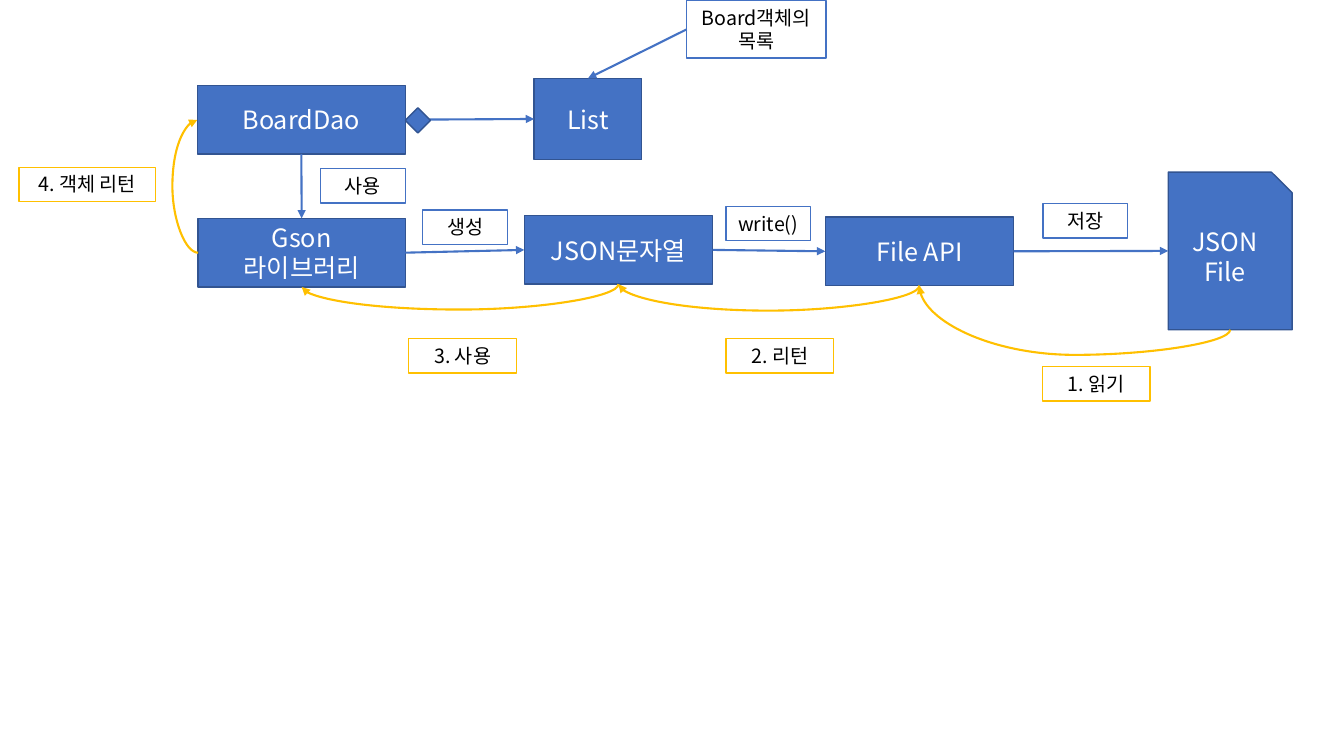
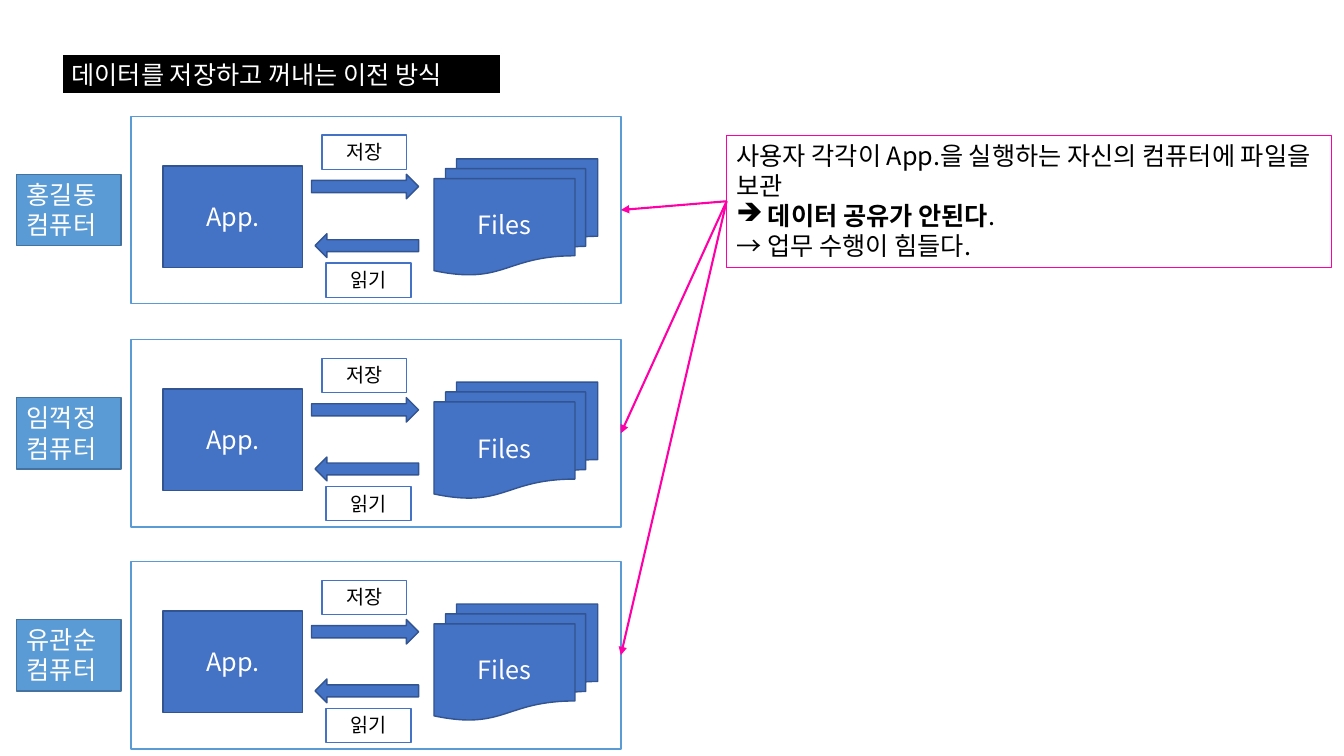
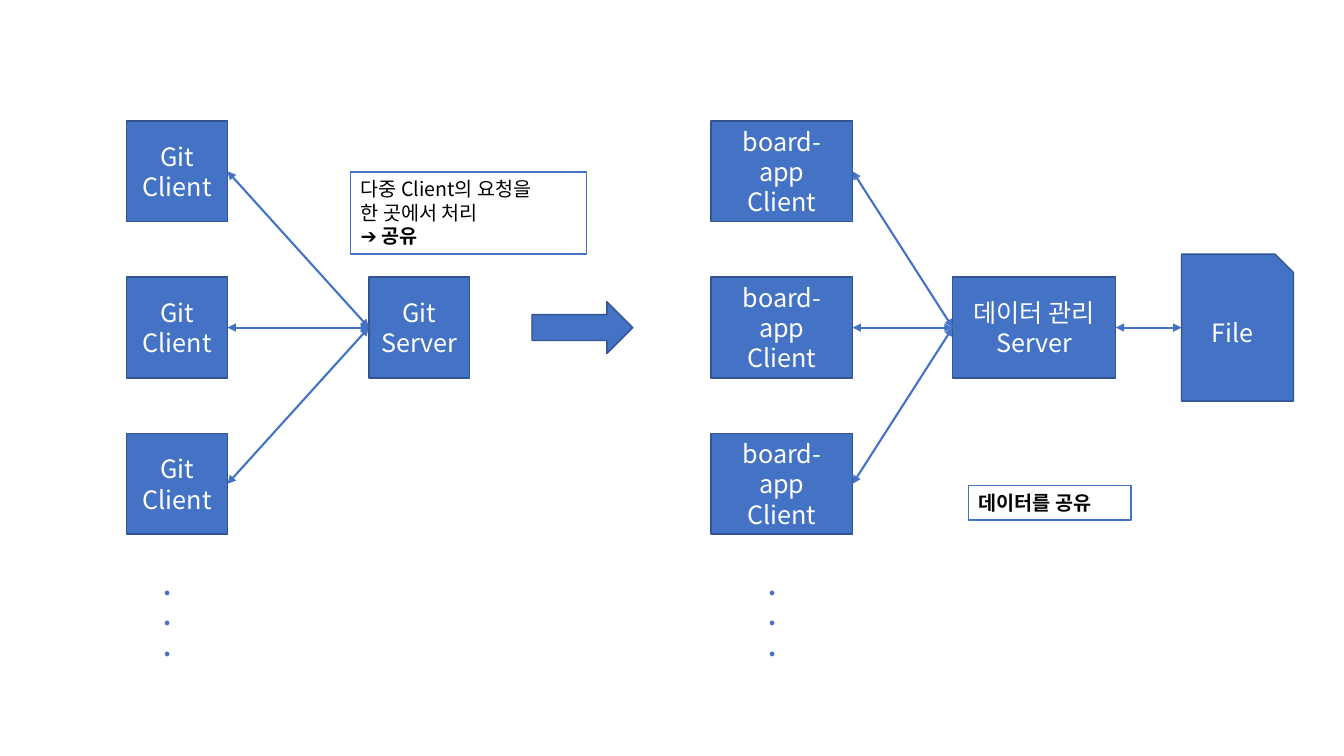
from lxml import etree
from pptx import Presentation
from pptx.dml.color import RGBColor
from pptx.enum.shapes import MSO_CONNECTOR, MSO_SHAPE
from pptx.enum.text import MSO_ANCHOR, MSO_AUTO_SIZE, PP_ALIGN
from pptx.oxml.ns import qn
from pptx.util import Pt

FONT = "Noto Sans CJK KR"
BLUE, NAVY = "4472C4", "325491"
SKY, STEEL = "5B9BD5", "43739E"
YELLOW, PINK = "FFC000", "FF00A8"
WHITE, BLACK = "FFFFFF", "000000"
RECT, SNIP, DIAMOND = MSO_SHAPE.RECTANGLE, MSO_SHAPE.SNIP_1_RECTANGLE, MSO_SHAPE.DIAMOND
FILES = MSO_SHAPE.FLOWCHART_MULTIDOCUMENT
RIGHT_ARROW, LEFT_ARROW = MSO_SHAPE.RIGHT_ARROW, MSO_SHAPE.LEFT_ARROW
STRAIGHT, CURVE = MSO_CONNECTOR.STRAIGHT, MSO_CONNECTOR.CURVE
CENTER, START = PP_ALIGN.CENTER, PP_ALIGN.LEFT
MIDDLE, TOP = MSO_ANCHOR.MIDDLE, MSO_ANCHOR.TOP
GROW = MSO_AUTO_SIZE.SHAPE_TO_FIT_TEXT
TOP_SIDE, LEFT_SIDE, BOTTOM_SIDE, RIGHT_SIDE = range(4)
TAG_WIDTH, STEP_WIDTH, TAG_HEIGHT = 60.5, 77, 24.5
CURVE_DEPTH = 18


def rgb(hex_color):
    """Turn a hex string into a colour."""
    return RGBColor.from_string(hex_color)


def style_font(font, size, color, bold):
    """Set the shared typeface for Latin and Korean text."""
    font.size, font.bold, font.name = Pt(size), bold, FONT
    font.color.rgb = rgb(color)
    etree.SubElement(font._element, qn("a:ea")).set("typeface", FONT)


def add_bullet(para, mark):
    """Give a paragraph a hanging bullet."""
    properties = para._p.get_or_add_pPr()
    properties.set("marL", str(Pt(22.5)))
    properties.set("indent", str(-Pt(22.5)))
    etree.SubElement(properties, qn("a:buChar")).set("char", mark)


def write(shape, lines, size, color, align, bold=False, bullets=None):
    """Write lines, each a string or a list of (text, bold) spans."""
    frame = shape.text_frame
    frame.word_wrap = True
    for index, line in enumerate(lines):
        para = frame.paragraphs[0] if index == 0 else frame.add_paragraph()
        para.alignment = align
        if bullets and index in bullets:
            add_bullet(para, bullets[index])
        style_font(para.font, size, color, bold)
        if isinstance(line, str):
            para.add_run().text = line
            continue
        for text, span_bold in line:
            span = para.add_run()
            span.text = text
            span.font.bold = span_bold


def add_block(page, box, lines=(), kind=RECT, fill=BLUE, outline=NAVY, weight=1):
    """Add a filled shape with centred white text."""
    shape = page.shapes.add_shape(kind, *map(Pt, box))
    shape.shadow.inherit = False
    shape.fill.solid()
    shape.fill.fore_color.rgb = rgb(fill)
    shape.line.color.rgb = rgb(outline)
    shape.line.width = Pt(weight)
    shape.text_frame.vertical_anchor = MIDDLE
    write(shape, lines, 18, WHITE, CENTER)
    return shape


def add_note(page, box, lines, fill=WHITE, outline=BLUE, weight=1, size=14,
             color=BLACK, align=START, bold=False, bullets=None):
    """Add a top-anchored box that fits its text."""
    shape = add_block(page, box, (), RECT, fill, outline, weight)
    shape.text_frame.vertical_anchor = TOP
    shape.text_frame.auto_size = GROW
    write(shape, lines, size, color, align, bold, bullets)
    return shape


def add_tag(page, left, top, text, width=TAG_WIDTH, outline=BLUE, height=TAG_HEIGHT):
    """Add a small centred label."""
    return add_note(page, (left, top, width, height), [text], outline=outline, align=CENTER)


def style_line(connector, color, both_ends=False):
    """Colour a connector, drop its shadow and add arrowheads."""
    connector.line.color.rgb = rgb(color)
    connector.line.width = Pt(1.5)
    line = connector.line._get_or_add_ln()
    for end in ("a:headEnd", "a:tailEnd") if both_ends else ("a:tailEnd",):
        etree.SubElement(line, qn(end)).set("type", "triangle")
    etree.SubElement(connector._element.spPr, qn("a:effectLst"))


def add_arrow(page, source, source_side, target, target_side, color=BLUE, both_ends=False):
    """Join two shapes with a straight arrow."""
    connector = page.shapes.add_connector(STRAIGHT, 0, 0, 0, 0)
    connector.begin_connect(source, source_side)
    connector.end_connect(target, target_side)
    style_line(connector, color, both_ends)


def add_return_curve(page, source, target, side):
    """Draw a curved arrow that bulges out of one side of two shapes."""
    def anchor(shape):
        """Find the middle of the chosen side."""
        if side == BOTTOM_SIDE:
            return shape.left + shape.width // 2, shape.top + shape.height
        return shape.left, shape.top + shape.height // 2

    (x1, y1), (x2, y2) = anchor(source), anchor(target)
    across, along = abs(x2 - x1), abs(y2 - y1)
    downward = side == BOTTOM_SIDE
    width, height = (along, across) if downward else (across, along)
    left, top = (x1 + x2 - width) // 2, (y1 + y2 - height) // 2
    connector = page.shapes.add_connector(CURVE, left, top, left + width, top + height)
    flipped = downward and y1 > y2
    properties = connector._element.spPr
    transform = properties.find(qn("a:xfrm"))
    transform.set("rot", str((90 if downward else 180) * 60000))
    if flipped:
        transform.set("flipH", "1")
    bend = round(Pt(CURVE_DEPTH) / width * 100000)
    guide = etree.SubElement(properties.find(qn("a:prstGeom")).find(qn("a:avLst")), qn("a:gd"))
    guide.set("name", "adj1")
    guide.set("fmla", f"val {-bend if flipped else bend}")
    style_line(connector, YELLOW)


def build_json_flow(page):
    """Build the slide on saving and loading objects as JSON."""
    dao = add_block(page, (141, 61, 148.5, 49), ["BoardDao"])
    json_text = add_block(page, (374.5, 154, 134.5, 49), ["JSON문자열"])
    gson = add_block(page, (141.5, 156, 148, 49), ["Gson", "라이브러리"])
    board_list = add_block(page, (381.5, 56, 77, 58), ["List"])
    file_api = add_block(page, (589.5, 155, 134.5, 49), ["File API"])
    json_file = add_block(page, (834.5, 123, 88.5, 112.5), ["JSON", "File"], SNIP)
    list_tag = add_tag(page, 490.5, 0.5, "Board객체의 목록", 99.5, height=41)

    for source, source_side, target, target_side in (
        (dao, RIGHT_SIDE, board_list, LEFT_SIDE),
        (dao, BOTTOM_SIDE, gson, TOP_SIDE),
        (gson, RIGHT_SIDE, json_text, LEFT_SIDE),
        (json_text, RIGHT_SIDE, file_api, LEFT_SIDE),
        (file_api, RIGHT_SIDE, json_file, LEFT_SIDE),
        (list_tag, LEFT_SIDE, board_list, TOP_SIDE),
    ):
        add_arrow(page, source, source_side, target, target_side)
    add_block(page, (289.5, 77, 18, 18), kind=DIAMOND)

    for left, top, text in ((229, 120.5, "사용"), (302, 150, "생성"),
                            (518.5, 147.5, "write()"), (745, 145.5, "저장")):
        add_tag(page, left, top, text)

    for source, target, side in ((json_file, file_api, BOTTOM_SIDE),
                                 (file_api, json_text, BOTTOM_SIDE),
                                 (json_text, gson, BOTTOM_SIDE),
                                 (gson, dao, LEFT_SIDE)):
        add_return_curve(page, source, target, side)
    for left, top, text, width in ((744.5, 262, "1. 읽기", STEP_WIDTH),
                                   (518.5, 242, "2. 리턴", STEP_WIDTH),
                                   (292, 242, "3. 사용", STEP_WIDTH),
                                   (13.5, 119.5, "4. 객체 리턴", 97.5)):
        add_tag(page, left, top, text, width, YELLOW)


def add_computer(page, left, top, owner):
    """Add one user's computer with its own app and files."""
    frame = add_block(page, (left, top, 350, 134), fill=WHITE, outline=SKY)
    add_note(page, (left - 81.5, top + 41.5, 74.5, 51), [owner, "컴퓨터"],
             SKY, STEEL, size=18, color=WHITE)
    add_block(page, (left + 23, top + 35.5, 99.5, 72.5), ["App."])
    add_block(page, (left + 216.5, top + 30.5, 117, 83), ["Files"], FILES)
    add_block(page, (left + 129, top + 41.5, 76.5, 17.5), kind=RIGHT_ARROW)
    add_block(page, (left + 131.5, top + 84, 74, 17), kind=LEFT_ARROW)
    add_tag(page, left + 136.5, top + 13.5, "저장")
    add_tag(page, left + 139.5, top + 105, "읽기")
    return frame


def build_local_files(page):
    """Build the slide on keeping files on each computer."""
    add_note(page, (44, 38.5, 314, 29), ["데이터를 저장하고 꺼내는 이전 방식"],
             BLACK, WHITE, 1.5, 18, WHITE)
    computers = [add_computer(page, 93.5, top, owner) for top, owner in
                 ((83, "홍길동"), (242.5, "임꺽정"), (401, "유관순"))]
    problem = add_note(
        page, (519, 96.5, 432, 94.5),
        ["사용자 각각이 App.을 실행하는 자신의 컴퓨터에 파일을 보관",
         [("데이터 공유가 안된다", True), (".", False)],
         "→ 업무 수행이 힘들다."],
        outline=PINK, weight=0.75, size=18, bullets={1: "➔"})
    for computer in computers:
        add_arrow(page, problem, LEFT_SIDE, computer, RIGHT_SIDE, PINK)


def add_client_group(page, left, top, width, client, server, server_left, server_width):
    """Add a column of clients joined to one server, and return the server."""
    size, pitch, dots_width = 72, 111.6, 33
    clients = [add_block(page, (left, top + row * pitch, width, size), client)
               for row in range(3)]
    hub = add_block(page, (server_left, top + pitch, server_width, size), server)
    for block in clients:
        add_arrow(page, block, RIGHT_SIDE, hub, LEFT_SIDE, both_ends=True)
    dots_left = left + (width - dots_width) / 2
    dots = page.shapes.add_textbox(*map(Pt, (dots_left, top + 317.5, dots_width, 72.5)))
    write(dots, [".", ".", "."], 18, BLUE, START, True)
    return hub


def build_shared_server(page):
    """Build the slide on sharing data through a server."""
    top = 86.4
    add_client_group(page, 90.5, top, 72, ["Git", "Client"], ["Git", "Server"], 263.5, 72)
    add_block(page, (380, 215.5, 72, 37), kind=RIGHT_ARROW)
    server = add_client_group(page, 508, top, 101, ["board-app", "Client"],
                              ["데이터 관리Server"], 680.5, 116.5)
    data_file = add_block(page, (844, 181.5, 80, 105), ["File"], SNIP)
    add_arrow(page, server, RIGHT_SIDE, data_file, LEFT_SIDE, both_ends=True)
    add_note(page, (250.5, 123, 168.5, 58.5),
             ["다중 Client의 요청을", "한 곳에서 처리", [("➔ ", False), ("공유", True)]])
    add_note(page, (692, 347, 116, TAG_HEIGHT), ["데이터를 공유"], bold=True)


def main():
    """Build and save the deck."""
    deck = Presentation()
    deck.slide_width, deck.slide_height = Pt(960), Pt(540)
    for build in (build_json_flow, build_local_files, build_shared_server):
        build(deck.slides.add_slide(deck.slide_layouts[6]))
    deck.save("out.pptx")


if __name__ == "__main__":
    main()
